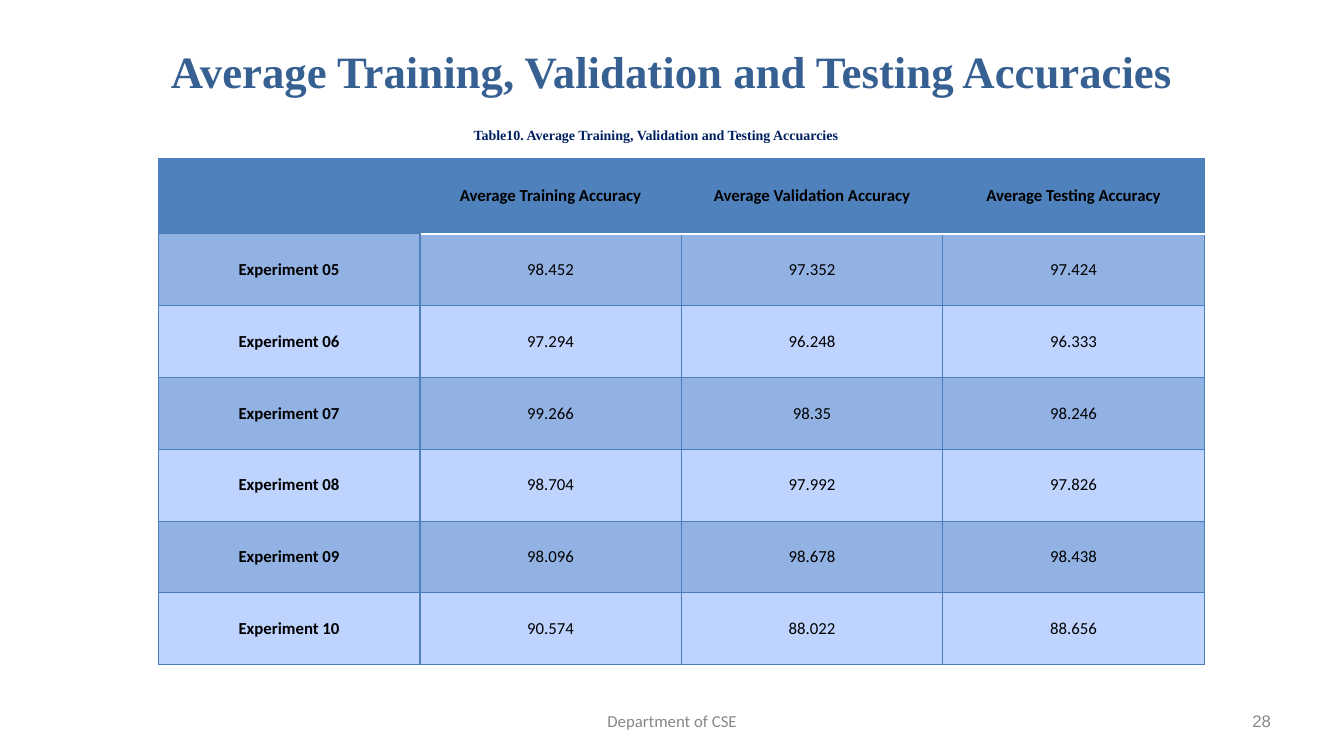
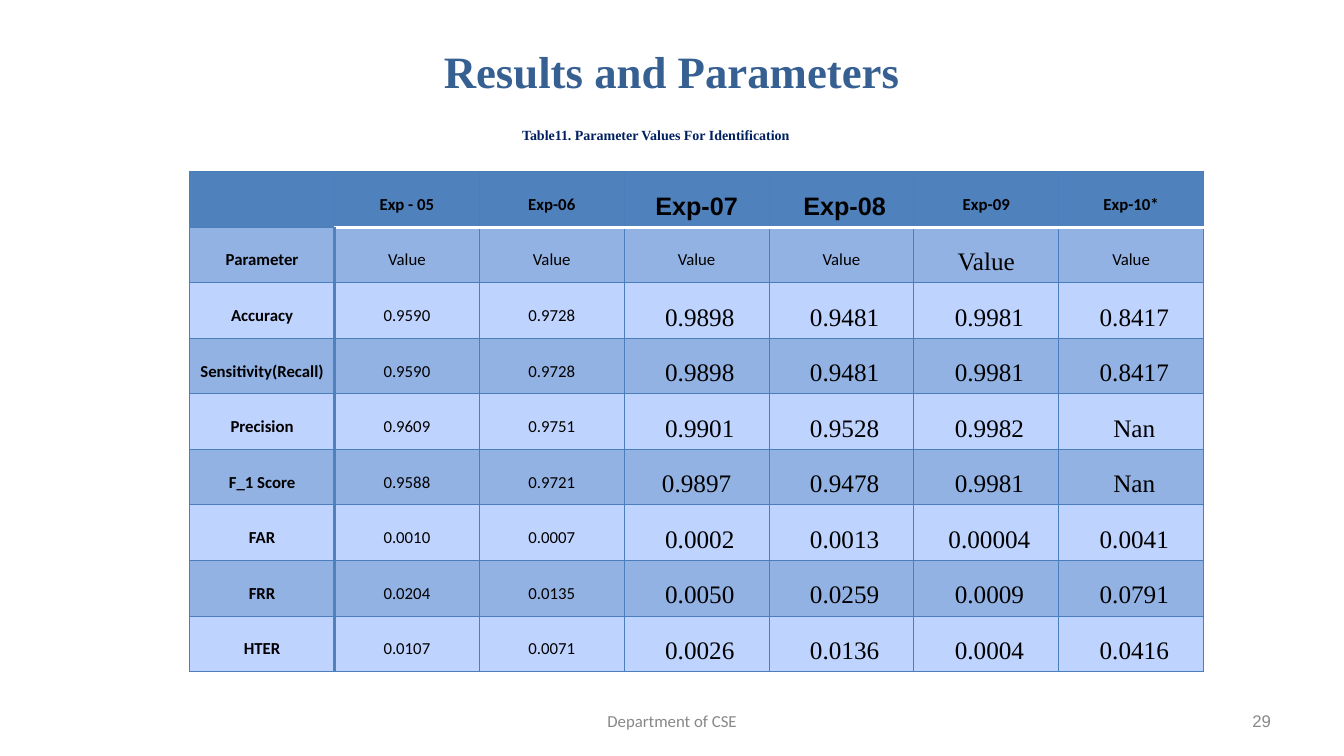
from lxml import etree
from pptx import Presentation
from pptx.dml.color import RGBColor
from pptx.enum.text import MSO_ANCHOR, PP_ALIGN
from pptx.oxml.ns import qn
from pptx.util import Cm, Pt

TOP, MIDDLE = MSO_ANCHOR.TOP, MSO_ANCHOR.MIDDLE
CENTER, RIGHT = PP_ALIGN.CENTER, PP_ALIGN.RIGHT
SERIF, SANS, ARIAL = "Times New Roman", "Calibri", "Arial"
TITLE, CAPTION, FOOTER, BLACK = "376092", "002060", "888888", "000000"
HEADER, DARK_BAND, LIGHT_BAND = "4F81BD", "93B2E4", "BFD3FF"
GRID, WHITE = "4B7EBC", "FFFFFF"

ACCURACY_ROWS = [
    ["", "Average Training Accuracy", "Average Validation Accuracy", "Average Testing Accuracy"],
    ["Experiment 05", "98.452", "97.352", "97.424"],
    ["Experiment 06", "97.294", "96.248", "96.333"],
    ["Experiment 07", "99.266", "98.35", "98.246"],
    ["Experiment 08", "98.704", "97.992", "97.826"],
    ["Experiment 09", "98.096", "98.678", "98.438"],
    ["Experiment 10", "90.574", "88.022", "88.656"],
]
PARAMETER_ROWS = [
    ["", "Exp - 05", "Exp-06", "Exp-07", "Exp-08", "Exp-09", "Exp-10*"],
    ["Parameter"] + ["Value"] * 6,
    ["Accuracy", "0.9590", "0.9728", "0.9898", "0.9481", "0.9981", "0.8417"],
    ["Sensitivity(Recall)", "0.9590", "0.9728", "0.9898", "0.9481", "0.9981", "0.8417"],
    ["Precision", "0.9609", "0.9751", "0.9901", "0.9528", "0.9982", "Nan"],
    ["F_1 Score", "0.9588", "0.9721", "0.9897", "0.9478", "0.9981", "Nan"],
    ["FAR", "0.0010", "0.0007", "0.0002", "0.0013", "0.00004", "0.0041"],
    ["FRR", "0.0204", "0.0135", "0.0050", "0.0259", "0.0009", "0.0791"],
    ["HTER", "0.0107", "0.0071", "0.0026", "0.0136", "0.0004", "0.0416"],
]
LARGE = {(0, 3): ARIAL, (0, 4): ARIAL, (1, 5): SERIF}
LARGE.update({(i, j): SERIF for i in range(2, 9) for j in range(3, 7)})
INDENTED = set(LARGE) - {(0, 3), (1, 5), (5, 3)}

SLIDES = [
    dict(number="28", title="Average Training, Validation and Testing Accuracies",
         caption="Table10. Average Training, Validation and Testing Accuarcies",
         rows=ACCURACY_ROWS, left=3.99, top=3.99, col_width=6.59,
         header_height=1.9, row_height=1.81, spacing=1, large={}, indented=set()),
    dict(number="29", title="Results and Parameters",
         caption="Table11. Parameter Values For Identification",
         rows=PARAMETER_ROWS, left=4.78, top=4.33, col_width=3.65,
         header_height=1.4, row_height=1.4, spacing=1.5, large=LARGE, indented=INDENTED),
]


def rgb(value):
    return RGBColor.from_string(value)


def add_text(tf, text, font, size, color, bold=False, align=CENTER):
    p = tf.paragraphs[0]
    p.alignment = align
    r = p.add_run()
    r.text = text
    r.font.name = font
    r.font.size = Pt(size)
    r.font.bold = bold
    r.font.color.rgb = rgb(color)
    return p


prs = Presentation()
prs.slide_width, prs.slide_height = Cm(33.87), Cm(19.05)

for data in SLIDES:
    s = prs.slides.add_slide(prs.slide_layouts[6])

    for left, top, width, height, anchor, style in [
        (1.69, 0.71, 30.48, 2.13, MIDDLE, (data["title"], SERIF, 32, TITLE, True)),
        (8.18, 3.07, 16.69, 0.64, TOP, (data["caption"], SERIF, 10, CAPTION, True)),
        (11.71, 17.83, 10.46, 0.69, MIDDLE, ("Department of CSE", SANS, 12, FOOTER)),
        (30.66, 17.83, 1.5, 0.69, MIDDLE, (data["number"], ARIAL, 12, FOOTER, False, RIGHT)),
    ]:
        tf = s.shapes.add_textbox(Cm(left), Cm(top), Cm(width), Cm(height)).text_frame
        tf.word_wrap = True
        tf.vertical_anchor = anchor
        tf.margin_left = tf.margin_right = tf.margin_top = tf.margin_bottom = Cm(0.13)
        add_text(tf, *style)

    rows = data["rows"]
    n_rows, n_cols = len(rows), len(rows[0])
    table_height = data["header_height"] + data["row_height"] * (n_rows - 1)
    table = s.shapes.add_table(n_rows, n_cols, Cm(data["left"]), Cm(data["top"]),
                               Cm(data["col_width"] * n_cols), Cm(table_height)).table
    for col in table.columns:
        col.width = Cm(data["col_width"])
    for i, row in enumerate(rows):
        table.rows[i].height = Cm(data["row_height"] if i else data["header_height"])
        for j, text in enumerate(row):
            cell = table.cell(i, j)
            cell.vertical_anchor = MIDDLE
            cell.margin_left = cell.margin_right = cell.margin_top = cell.margin_bottom = 0
            if (i, j) in data["indented"]:
                cell.margin_left = Cm(0.16)
            if text:
                font = data["large"].get((i, j), SANS)
                size = 18 if (i, j) in data["large"] else 12
                p = add_text(cell.text_frame, text, font, size, BLACK, i == 0 or j == 0)
                p.line_spacing = data["spacing"]

            thin, thick, white = (GRID, 0.75), (HEADER, 2), (WHITE, 2)
            borders = {
                "a:lnL": thick if i and j == 1 else thin,
                "a:lnR": thick if i and j == 0 else thin,
                "a:lnT": white if i == 1 and j else thin,
                "a:lnB": white if i == 0 and j else thin,
            }
            tcPr = cell._tc.get_or_add_tcPr()
            for tag, (color, width) in borders.items():
                ln = etree.SubElement(tcPr, qn(tag), w=str(Pt(width)))
                fill = etree.SubElement(ln, qn("a:solidFill"))
                etree.SubElement(fill, qn("a:srgbClr"), val=color)
            cell.fill.solid()
            band = DARK_BAND if i % 2 else LIGHT_BAND
            cell.fill.fore_color.rgb = rgb(band if i else HEADER)

prs.save("out.pptx")
